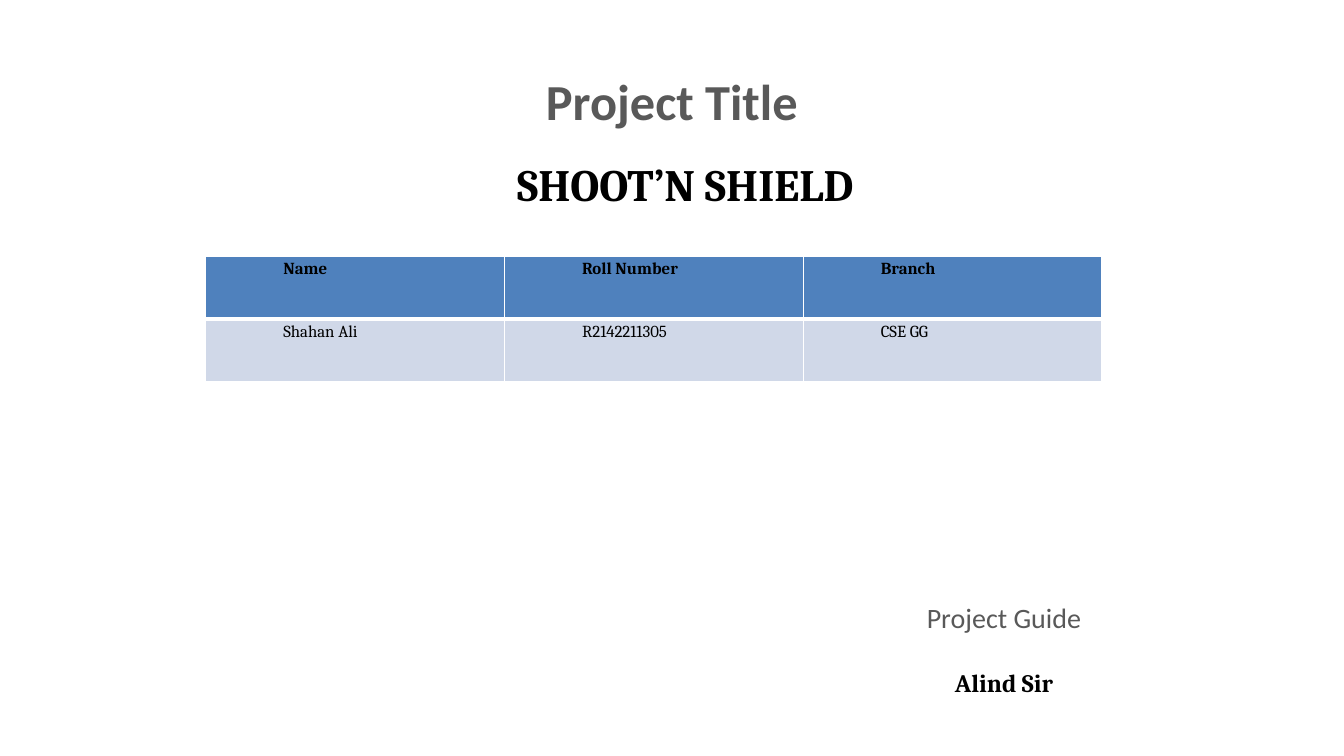
from pptx import Presentation
from pptx.dml.color import RGBColor as Rgb
from pptx.enum.text import MSO_ANCHOR as Anchor, PP_ALIGN as Align
from pptx.oxml import parse_xml
from pptx.oxml.ns import nsdecls
from pptx.util import Inches, Pt

theme = {
    "grey": "595959", "black": "000000", "white": "FFFFFF",
    "head": "4F81BD", "body": "D0D8E8",
    "sans": "Calibri", "serif": "Cambria",
    "title": 36, "name": 32, "guide": 20, "sir": 18, "cell": 12,
}

deck = Presentation()
deck.slide_width, deck.slide_height = Inches(13.33), Inches(7.5)
wide, high = deck.slide_width, deck.slide_height
slide = deck.slides.add_slide(deck.slide_layouts[6])


def style(para, size, face, tint, bold):
    font = para.runs[0].font
    font.size, font.name, font.bold = Pt(theme[size]), theme[face], bold
    font.color.rgb = Rgb.from_string(theme[tint])


def indent(para, left, line, after):
    props = para._p.get_or_add_pPr()
    props.set("marL", str(Inches(left)))
    props.set("indent", str(Inches(-0.01)))
    para.line_spacing, para.space_after = line, Pt(after)


boxes = [
    (0, 0.068, 1, 0.129, Anchor.MIDDLE,
     [("Project Title", "title", "sans", "grey", True)]),
    (0.624, 0.815, 0.246, 0.129, Anchor.MIDDLE,
     [("Project Guide", "guide", "sans", "grey", False),
      ("Alind Sir", "sir", "serif", "black", True)]),
    (0.1065, 0.193, 0.807, 0.087, Anchor.TOP,
     [("SHOOT’N SHIELD", "name", "serif", "black", True)]),
]
frames = []
for left, top, width, height, anchor, lines in boxes:
    box = slide.shapes.add_textbox(
        int(left * wide), int(top * high), int(width * wide), int(height * high))
    frame = box.text_frame
    frame.word_wrap, frame.vertical_anchor = True, anchor
    frame.text = "\n".join(line[0] for line in lines)
    for para, line in zip(frame.paragraphs, lines):
        para.alignment = Align.CENTER
        style(para, *line[1:])
    frames.append(frame)

title, guide, name = frames
guide.margin_bottom = Inches(0.36)
guide.paragraphs[1].space_before = Pt(24)
indent(name.paragraphs[0], 0.01, 1.1, 22)

rows = [["Name", "Roll Number", "Branch"],
        ["Shahan Ali", "R2142211305", "CSE GG"]]
table = slide.shapes.add_table(
    len(rows), len(rows[0]), int(0.153 * wide), int(0.339 * high),
    int(0.667 * wide), int(0.166 * high)).table

for r, row in enumerate(rows):
    head = r == 0
    edges = {"L": 1, "R": 1, "T": 1 if head else 3, "B": 3 if head else 1}
    for c, text in enumerate(row):
        cell = table.cell(r, c)
        cell.margin_left = cell.margin_right = Inches(0.08)
        cell.margin_top, cell.margin_bottom = Inches(0.02), 0
        props = cell._tc.get_or_add_tcPr()
        for side, size in edges.items():
            props.append(parse_xml(
                f'<a:ln{side} {nsdecls("a")} w="{Pt(size)}"><a:solidFill>'
                f'<a:srgbClr val="{theme["white"]}"/></a:solidFill></a:ln{side}>'))
        cell.fill.solid()
        cell.fill.fore_color.rgb = Rgb.from_string(theme["head" if head else "body"])
        para = cell.text_frame.paragraphs[0]
        para.text = text
        indent(para, 0.7, 1.07, 8.8)
        style(para, "cell", "serif", "black", head)

deck.save("out.pptx")
